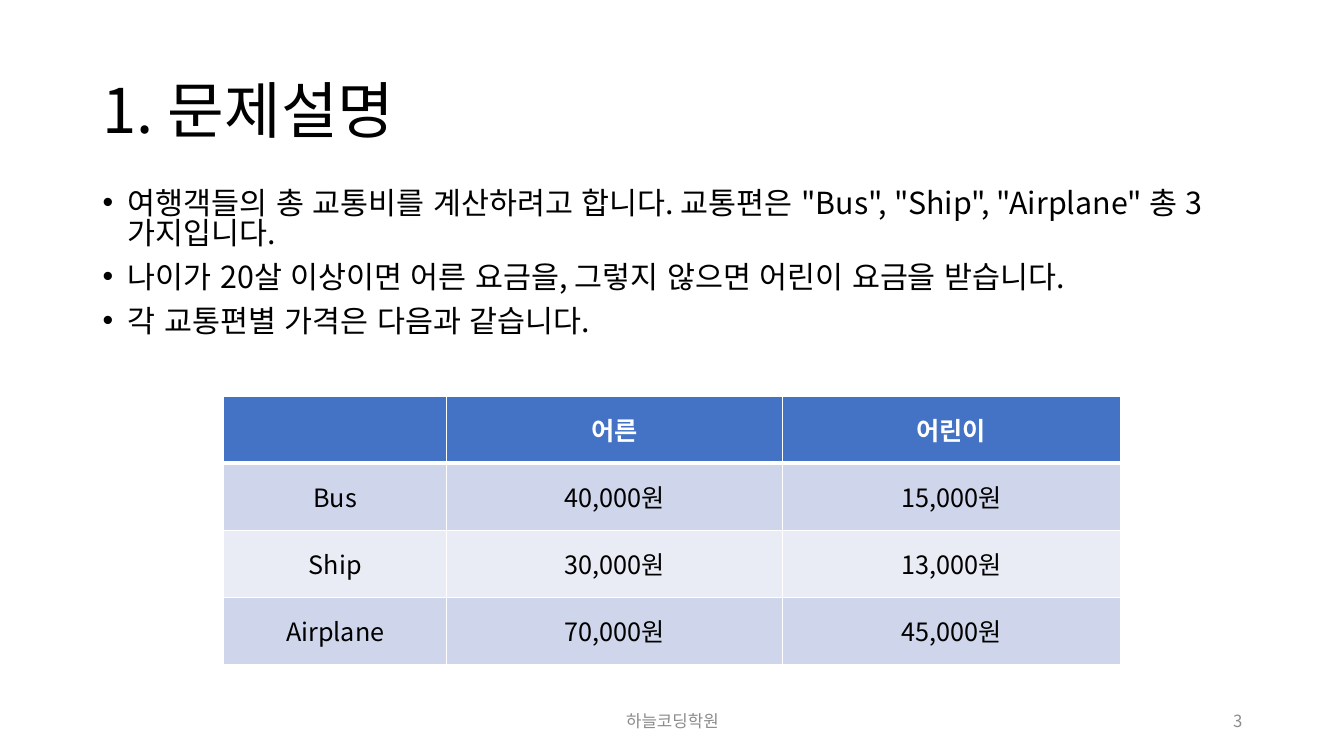
"""Build the problem description slide with its fare table."""
import dataclasses

import lxml.etree
import pptx
import pptx.dml.color
import pptx.enum.lang
import pptx.enum.text
import pptx.oxml.ns
import pptx.util

Inches = pptx.util.Inches
Pt = pptx.util.Pt
Align = pptx.enum.text.PP_ALIGN
Anchor = pptx.enum.text.MSO_ANCHOR
qn = pptx.oxml.ns.qn


@dataclasses.dataclass(frozen=True)
class Theme:
    font: str = "Noto Sans CJK KR"
    ink: str = "000000"
    muted: str = "8C8C8C"
    white: str = "FFFFFF"
    header: str = "4472C4"
    bands: tuple = ("CFD5EA", "E9EBF5")
    title_size: float = 44
    body_size: float = 21.7
    table_size: float = 18
    footer_size: float = 12


theme = Theme()


def add_span(para, text, size, color, bold=False):
    span = para.add_run()
    span.text = text
    span.font.name = theme.font
    span.font.size = Pt(size)
    span.font.bold = bold
    span.font.color.rgb = pptx.dml.color.RGBColor.from_string(color)
    span.font.language_id = pptx.enum.lang.MSO_LANGUAGE_ID.KOREAN
    east_asian = lxml.etree.SubElement(span.font._element, qn("a:ea"))
    east_asian.set("typeface", theme.font)


def add_frame(page, left, top, width, height, anchor):
    frame = page.shapes.add_textbox(
        Inches(left), Inches(top), Inches(width), Inches(height)
    ).text_frame
    frame.word_wrap = True
    frame.vertical_anchor = anchor
    return frame


deck = pptx.Presentation()
deck.slide_width = Inches(13.33)
deck.slide_height = Inches(7.5)
page = deck.slides.add_slide(deck.slide_layouts[6])

title = add_frame(page, 0.92, 0.4, 11.5, 1.45, Anchor.MIDDLE).paragraphs[0]
title.line_spacing = 0.9
add_span(title, "1. 문제설명", theme.title_size, theme.ink)

statements = [
    '여행객들의 총 교통비를 계산하려고 합니다. 교통편은 "Bus", "Ship", "Airplane" 총 3가지입니다.',
    "나이가 20살 이상이면 어른 요금을, 그렇지 않으면 어린이 요금을 받습니다.",
    "각 교통편별 가격은 다음과 같습니다.",
]
body = add_frame(page, 0.92, 1.84, 11.5, 2.22, Anchor.TOP)
for index, statement in enumerate(statements):
    para = body.add_paragraph() if index else body.paragraphs[0]
    para.line_spacing = 0.82
    para.space_before = Pt(10)
    properties = para._p.get_or_add_pPr()
    properties.set("marL", str(Inches(0.25)))
    properties.set("indent", str(Inches(-0.25)))
    bullet_font = lxml.etree.SubElement(properties, qn("a:buFont"))
    bullet_font.set("typeface", "Arial")
    lxml.etree.SubElement(properties, qn("a:buChar")).set("char", "•")
    add_span(para, statement, theme.body_size, theme.ink)

footers = [
    (4.42, 4.5, Align.CENTER, "하늘코딩학원"),
    (9.42, 3, Align.RIGHT, "3"),
]
for left, width, alignment, text in footers:
    para = add_frame(page, left, 6.95, width, 0.4, Anchor.MIDDLE).paragraphs[0]
    para.alignment = alignment
    add_span(para, text, theme.footer_size, theme.muted)

fares = [
    ["", "어른", "어린이"],
    ["Bus", "40,000원", "15,000원"],
    ["Ship", "30,000원", "13,000원"],
    ["Airplane", "70,000원", "45,000원"],
]
column_widths = [2.21, 3.33, 3.35]
table = page.shapes.add_table(
    len(fares), len(column_widths),
    Inches(2.22), Inches(3.93), Inches(sum(column_widths)), Inches(2.66),
).table
for column, width in zip(table.columns, column_widths):
    column.width = Inches(width)

for row_index, fare_row in enumerate(fares):
    is_header = row_index == 0
    fill = theme.header if is_header else theme.bands[(row_index - 1) % 2]
    ink = theme.white if is_header else theme.ink
    for column_index, text in enumerate(fare_row):
        cell = table.cell(row_index, column_index)
        cell.vertical_anchor = Anchor.MIDDLE
        cell_properties = cell._tc.get_or_add_tcPr()
        for side in ("L", "R", "T", "B"):
            header_rule = (row_index, side) in ((0, "B"), (1, "T"))
            border = lxml.etree.SubElement(cell_properties, qn(f"a:ln{side}"))
            border.set("w", str(Pt(3 if header_rule else 1)))
            border_fill = lxml.etree.SubElement(border, qn("a:solidFill"))
            lxml.etree.SubElement(border_fill, qn("a:srgbClr")).set("val", theme.white)
        cell.fill.solid()
        cell.fill.fore_color.rgb = pptx.dml.color.RGBColor.from_string(fill)
        if text:
            para = cell.text_frame.paragraphs[0]
            para.alignment = Align.CENTER
            add_span(para, text, theme.table_size, ink, is_header)

deck.save("out.pptx")
